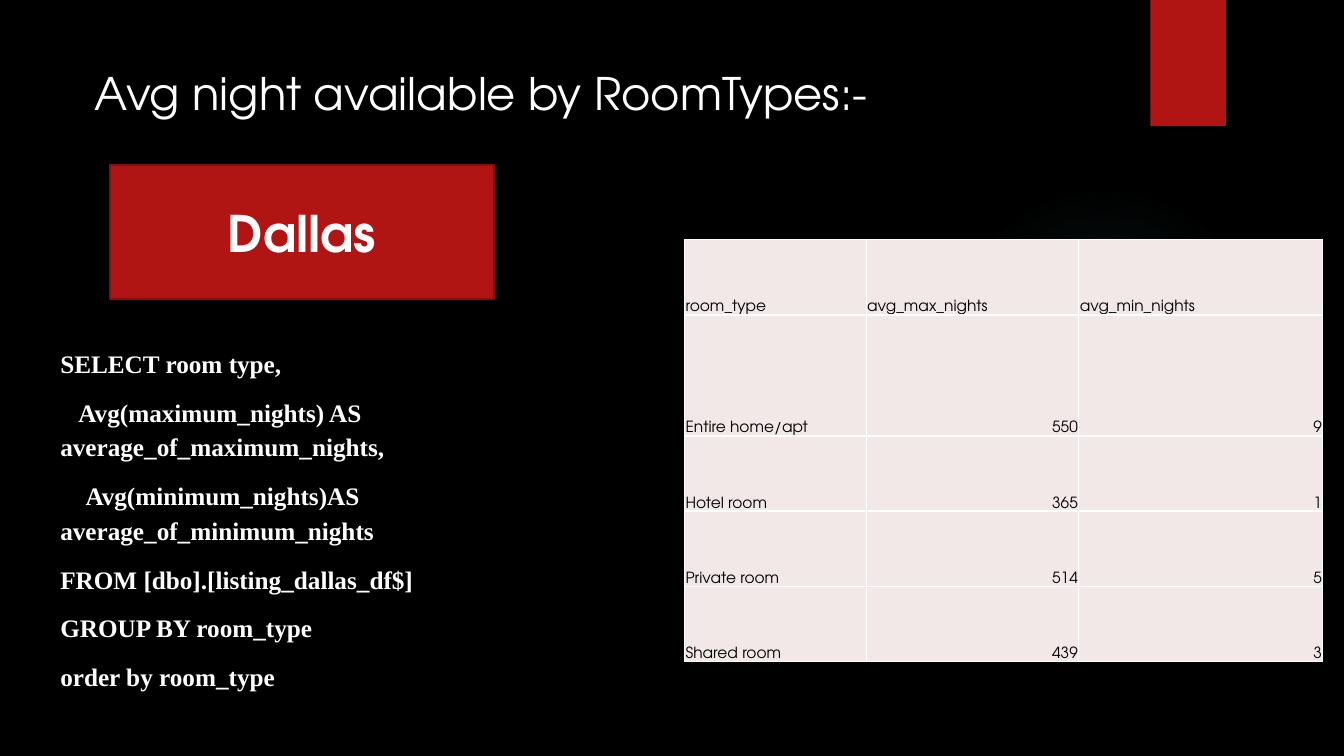
import pptx
import pptx.dml.color
import pptx.enum.shapes
import pptx.enum.text
import pptx.oxml
import pptx.oxml.ns
import pptx.util

RGBColor = pptx.dml.color.RGBColor
Inches = pptx.util.Inches
Pt = pptx.util.Pt
Shape = pptx.enum.shapes.MSO_SHAPE
Align = pptx.enum.text.PP_ALIGN
Anchor = pptx.enum.text.MSO_ANCHOR

BLACK = RGBColor(0x00, 0x00, 0x00)
WHITE = RGBColor(0xFF, 0xFF, 0xFF)
RED = RGBColor(0xB0, 0x15, 0x13)
DARK_RED = RGBColor(0x82, 0x10, 0x0E)
BLUSH = RGBColor(0xF2, 0xE8, 0xE7)
TEAL = RGBColor(0x50, 0xB9, 0xC1)

HEADING_FONT = "TeX Gyre Adventor"
QUERY_FONT = "Times New Roman"
NAMESPACE = pptx.oxml.ns.nsdecls("a")

# Each query line with its first-line indent in inches
QUERY = [
    ("SELECT room type,", 0),
    ("Avg(maximum_nights) AS average_of_maximum_nights,", 0.18),
    ("Avg(minimum_nights)AS average_of_minimum_nights", 0.25),
    ("FROM [dbo].[listing_dallas_df$]", 0),
    ("GROUP BY room_type", 0),
    ("order by room_type", 0),
]
ROOMS = [
    ("room_type", "avg_max_nights", "avg_min_nights"),
    ("Entire home/apt", "550", "9"),
    ("Hotel room", "365", "1"),
    ("Private room", "514", "5"),
    ("Shared room", "439", "3"),
]
COLUMN_WIDTHS = [1.8, 2.11, 2.42]
ROW_HEIGHT = 0.745
TALL_ROW_HEIGHT = 1.2


def inches(box):
    return [Inches(length) for length in box]


def write(para, text, *, size, font=HEADING_FONT, color=WHITE, bold=False,
          align=Align.LEFT):
    para.alignment = align
    span = para.add_run()
    span.text = text
    span.font.size = Pt(size)
    span.font.name = font
    span.font.color.rgb = color
    span.font.bold = bold


def add_block(page, kind, box, color):
    block = page.shapes.add_shape(kind, *inches(box))
    block.shadow.inherit = False
    block.fill.solid()
    block.fill.fore_color.rgb = color
    block.line.fill.background()
    return block


def add_glow(page, box):
    """Draw a faint circle that fades out towards its edge."""
    glow = add_block(page, Shape.OVAL, box, TEAL)
    stops = "".join(
        f'<a:gs pos="{place * 1000}"><a:srgbClr val="{TEAL}">'
        f'<a:alpha val="{alpha * 1000}"/></a:srgbClr></a:gs>'
        for place, alpha in [(0, 7), (36, 6), (69, 0), (100, 0)])
    gradient = pptx.oxml.parse_xml(
        f'<a:gradFill {NAMESPACE}><a:gsLst>{stops}</a:gsLst><a:path path="circle">'
        '<a:fillToRect l="50000" t="50000" r="50000" b="50000"/></a:path></a:gradFill>')
    properties = glow.element.spPr
    properties.replace(properties.find(pptx.oxml.ns.qn("a:solidFill")), gradient)


def add_backdrop(page):
    page.background.fill.solid()
    page.background.fill.fore_color.rgb = BLACK
    add_glow(page, (9.41, 1.83, 3.08, 3.08))
    add_block(page, Shape.RECTANGLE, (11.41, 0, 0.75, 1.25), RED)


def add_text_frame(page, box):
    frame = page.shapes.add_textbox(*inches(box)).text_frame
    frame.word_wrap = True
    return frame


def add_title(page, box):
    frame = add_text_frame(page, box)
    write(frame.paragraphs[0], "Avg night available by RoomTypes:-", size=32)


def add_city(page, box):
    city = add_block(page, Shape.RECTANGLE, box, RED)
    city.line.color.rgb = DARK_RED
    city.line.width = Pt(1.5)
    city.text_frame.vertical_anchor = Anchor.MIDDLE
    write(city.text_frame.paragraphs[0], "Dallas", size=36, bold=True, align=Align.CENTER)


def add_query(page, box):
    frame = add_text_frame(page, box)
    for index, (line, indent) in enumerate(QUERY):
        para = frame.add_paragraph() if index else frame.paragraphs[0]
        para.line_spacing = 1.15
        para.space_after = Pt(10)
        write(para, line, size=18, font=QUERY_FONT, bold=True)
        if indent:
            properties = para._p.get_or_add_pPr()
            properties.set("marL", "0")
            properties.set("indent", str(Inches(indent)))


def style_cell(cell):
    cell.margin_left = cell.margin_right = cell.margin_top = Inches(0.01)
    cell.margin_bottom = 0
    cell.vertical_anchor = Anchor.BOTTOM
    properties = cell._tc.get_or_add_tcPr()
    for side in ("lnL", "lnR", "lnT", "lnB"):
        properties.append(pptx.oxml.parse_xml(
            f'<a:{side} {NAMESPACE} w="{Pt(1)}"><a:solidFill>'
            f'<a:srgbClr val="{WHITE}"/></a:solidFill></a:{side}>'))
    cell.fill.solid()
    cell.fill.fore_color.rgb = BLUSH


def add_rooms(page, left, top):
    heights = [TALL_ROW_HEIGHT if row == 1 else ROW_HEIGHT for row in range(len(ROOMS))]
    box = (left, top, sum(COLUMN_WIDTHS), sum(heights))
    table = page.shapes.add_table(len(ROOMS), len(COLUMN_WIDTHS), *inches(box)).table
    for column, width in zip(table.columns, COLUMN_WIDTHS):
        column.width = Inches(width)
    for row, height, texts in zip(table.rows, heights, ROOMS):
        row.height = Inches(height)
        for cell, text in zip(row.cells, texts):
            style_cell(cell)
            align = Align.RIGHT if text.isdigit() else Align.LEFT
            write(cell.text_frame.paragraphs[0], text, size=11, color=BLACK, align=align)


def main():
    deck = pptx.Presentation()
    deck.slide_width, deck.slide_height = inches((13.33, 7.5))
    page = deck.slides.add_slide(deck.slide_layouts[6])
    add_backdrop(page)
    add_rooms(page, 6.79, 2.38)
    add_title(page, (0.84, 0.6, 8.85, 0.64))
    add_city(page, (1.09, 1.64, 3.81, 1.33))
    add_query(page, (0.5, 3.36, 6.04, 3.57))
    deck.save("out.pptx")


if __name__ == "__main__":
    main()
